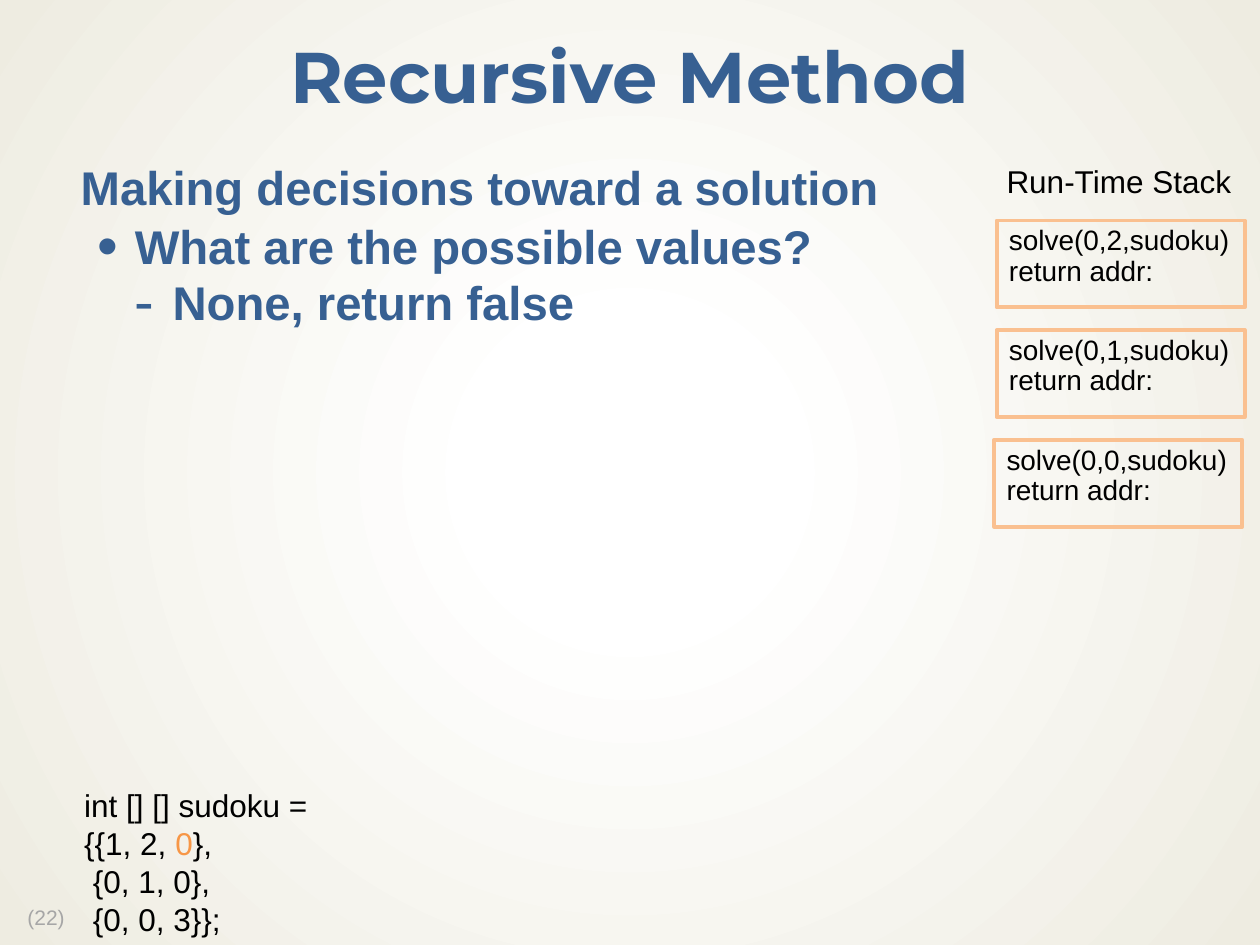
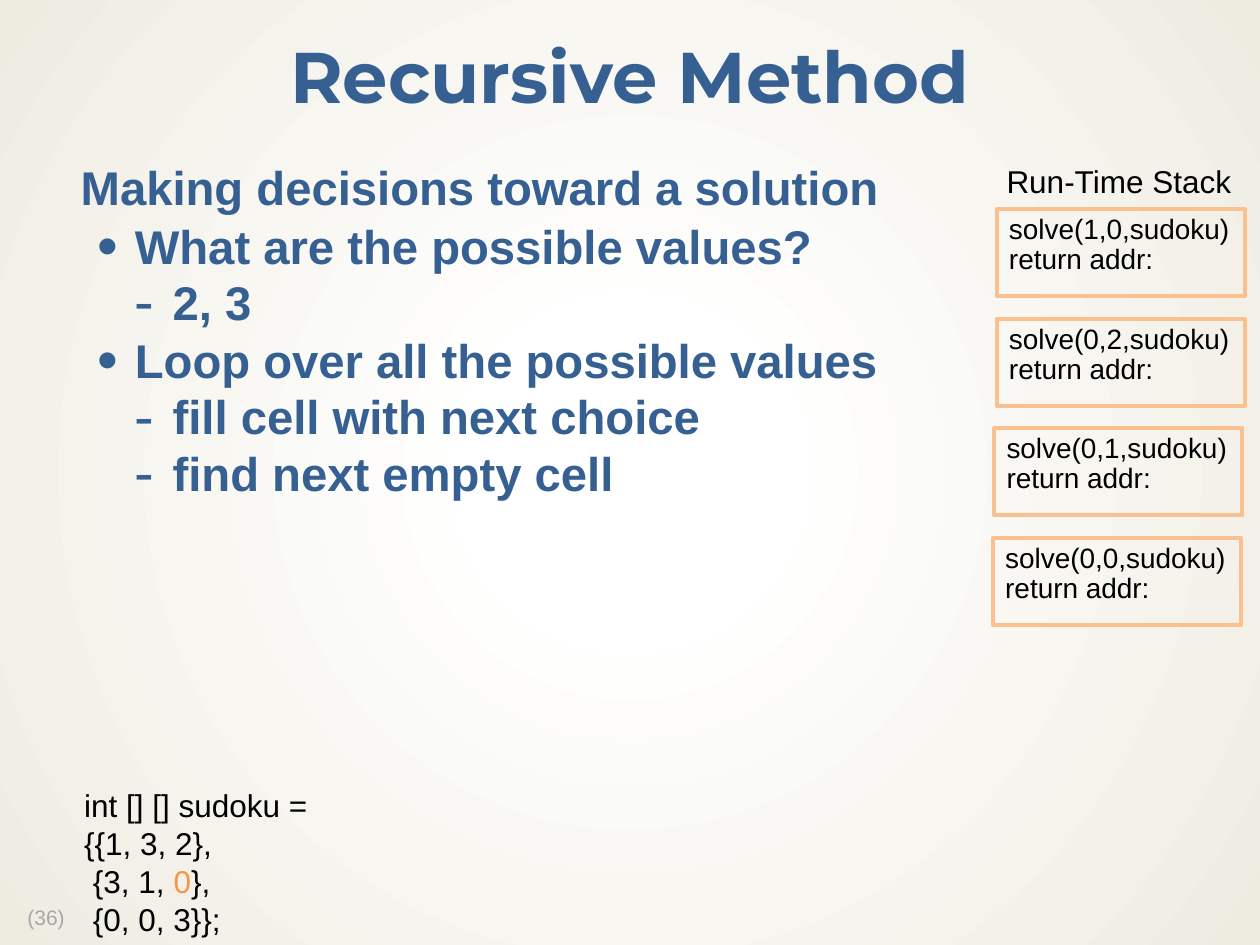
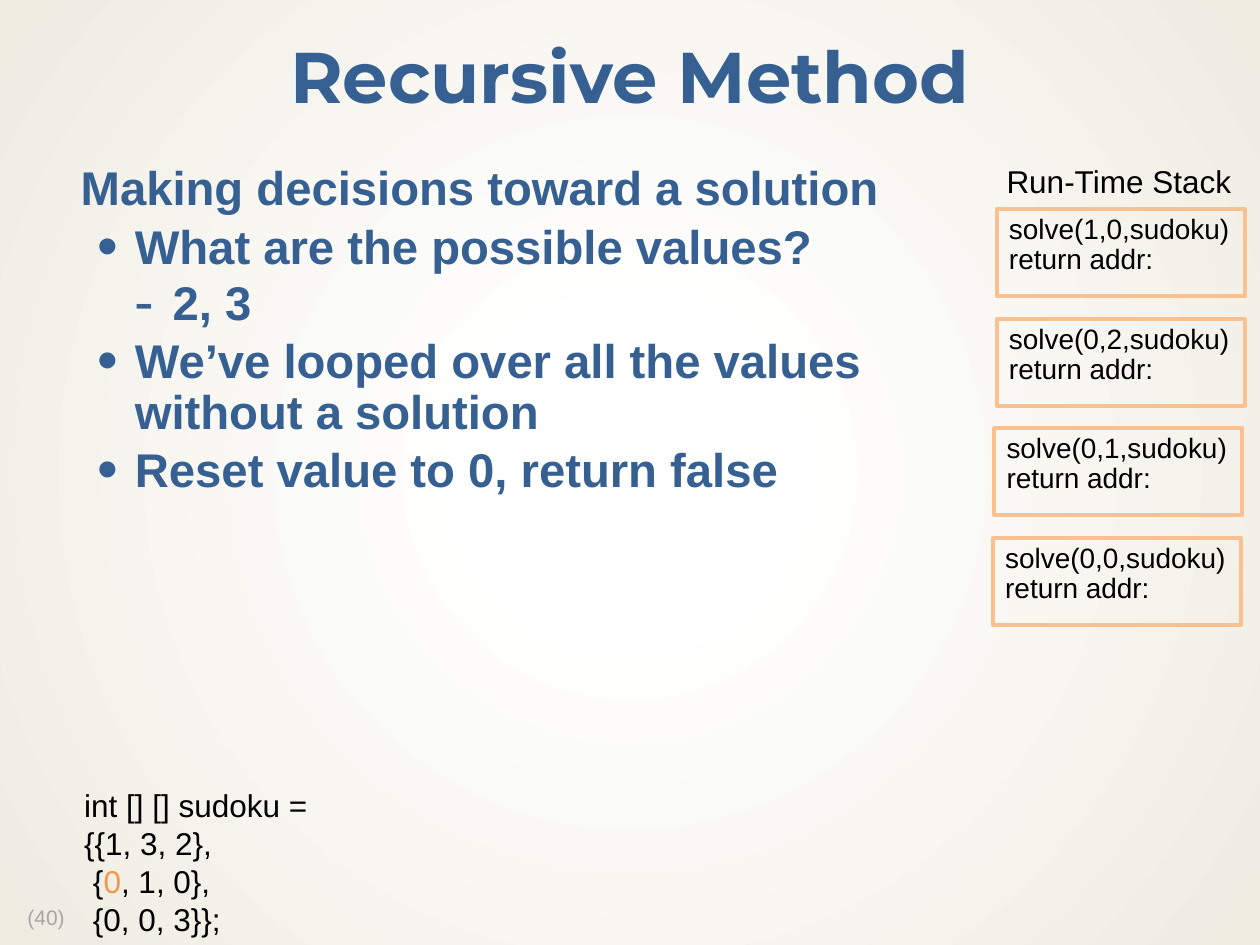
import pptx
import pptx.dml.color
import pptx.enum.shapes
import pptx.enum.text
import pptx.oxml
import pptx.oxml.ns
import pptx.util
from lxml import etree

Inches = pptx.util.Inches
Pt = pptx.util.Pt
Anchor = pptx.enum.text.MSO_ANCHOR
Align = pptx.enum.text.PP_ALIGN

BLUE, BLACK, GREY = "376092", "000000", "A6A6A6"
ORANGE, FRAME_LINE = "F79646", "FAC090"

TITLE_FONT = {"name": "Montserrat", "size": Pt(41), "bold": True, "color": BLUE}
BODY_FONT = {"name": "Arial", "size": Pt(27), "bold": True, "color": BLUE}
CODE_FONT = {"name": "Arial", "size": Pt(18), "color": BLACK}
MARK_FONT = {**CODE_FONT, "color": ORANGE}
FRAME_FONT = {"name": "Arial", "size": Pt(16), "color": BLACK}
NUMBER_FONT = {"name": "Arial", "size": Pt(12), "color": GREY}

TITLE_BOX = (0, 0.17, 10, 0.94)
BODY_BOX = (0.38, 1.25, 9.25, 5.65)
CODE_BOX = (0.57, 6.19, 1.99, 1.31)
STACK_LABEL_BOX = (7.89, 1.24, 2, 0.4)
NUMBER_BOX = (0.12, 7.15, 0.6, 0.28)

# Per list level: left margin, first-line indent, space before, bullet
LEVELS = [(0.14, 0, 8, None), (0.57, -0.3, 4, "•"), (0.87, -0.3, 3, "-")]

FRAME_SIZE = (1.97, 0.69)
FRAME_PITCH = 0.87
FRAME_LEFTS = (7.91, 7.91, 7.89, 7.88)

HEADING = (0, "Making decisions toward a solution")
QUESTION = (1, "What are the possible values?")
DEEP_STACK = ("1,0", "0,2", "0,1", "0,0")

# Asterisks enclose the cell being decided.
SLIDES = [
    {
        "number": 22,
        "points": [HEADING, QUESTION, (2, "None, return false")],
        "rows": ["{{1, 2, *0*},", " {0, 1, 0},", " {0, 0, 3}};"],
        "calls": DEEP_STACK[1:],
        "stack_top": 1.75,
    },
    {
        "number": 36,
        "points": [
            HEADING,
            QUESTION,
            (2, "2, 3"),
            (1, "Loop over all the possible values"),
            (2, "fill cell with next choice"),
            (2, "find next empty cell"),
        ],
        "rows": ["{{1, 3, 2},", " {3, 1, *0*},", " {0, 0, 3}};"],
        "calls": DEEP_STACK,
        "stack_top": 1.66,
    },
    {
        "number": 40,
        "points": [
            HEADING,
            QUESTION,
            (2, "2, 3"),
            (1, "We’ve looped over all the values\vwithout a solution"),
            (1, "Reset value to 0, return false"),
        ],
        "rows": ["{{1, 3, 2},", " {*0*, 1, 0},", " {0, 0, 3}};"],
        "calls": DEEP_STACK,
        "stack_top": 1.66,
    },
]


def set_color(color, value):
    color.rgb = pptx.dml.color.RGBColor.from_string(value)


def set_attributes(target, values):
    for name, value in values.items():
        setattr(target, name, value)


def format_font(font, values):
    set_attributes(font, {k: v for k, v in values.items() if k != "color"})
    set_color(font.color, values["color"])


def set_frame(frame, side=0.1, end=0.05, anchor=Anchor.TOP, wrap=True):
    set_attributes(frame, {
        "auto_size": pptx.enum.text.MSO_AUTO_SIZE.NONE,
        "word_wrap": wrap,
        "vertical_anchor": anchor,
        "margin_left": Inches(side),
        "margin_right": Inches(side),
        "margin_top": Inches(end),
        "margin_bottom": Inches(end),
    })


def place(shape, box):
    for name, value in zip(("left", "top", "width", "height"), box):
        setattr(shape, name, Inches(value))


def write_lines(frame, lines, font, spacing=1.0):
    """Write one paragraph a line, colouring the parts between asterisks."""
    for index, line in enumerate(lines):
        para = frame.paragraphs[0] if index == 0 else frame.add_paragraph()
        para.line_spacing = spacing
        para.alignment = Align.LEFT
        for position, part in enumerate(line.split("*")):
            span = para.add_run()
            span.text = part
            format_font(span.font, MARK_FONT if position % 2 else font)


def add_text(page, box, lines, font, wrap=False, spacing=1.0):
    shape = page.shapes.add_textbox(*map(Inches, box))
    set_frame(shape.text_frame, wrap=wrap)
    write_lines(shape.text_frame, lines, font, spacing)


def set_background(master):
    """Give all slides a radial gradient from white to cream."""
    master.background.fill.solid()
    solid = master.element.xpath("p:cSld/p:bg/p:bgPr/a:solidFill")[0]
    gradient = pptx.oxml.parse_xml(
        f'<a:gradFill {pptx.oxml.ns.nsdecls("a")} rotWithShape="1"><a:gsLst>'
        '<a:gs pos="18000"><a:srgbClr val="FFFFFF"><a:alpha val="53000"/></a:srgbClr></a:gs>'
        '<a:gs pos="100000"><a:srgbClr val="EEECE1"/></a:gs></a:gsLst>'
        '<a:path path="circle">'
        '<a:fillToRect l="50000" t="50000" r="50000" b="50000"/>'
        "</a:path></a:gradFill>"
    )
    solid.getparent().replace(solid, gradient)


def fill_title(page, text):
    title = page.shapes.title
    place(title, TITLE_BOX)
    set_frame(title.text_frame, 0.13, 0.06, Anchor.MIDDLE)
    title.text_frame.text = text
    para = title.text_frame.paragraphs[0]
    set_attributes(para, {"alignment": Align.CENTER, "line_spacing": 0.9})
    format_font(para.runs[0].font, TITLE_FONT)


def set_bullet(para, margin, indent, bullet):
    properties = para._p.get_or_add_pPr()
    properties.set("marL", str(Inches(margin)))
    properties.set("indent", str(Inches(indent)))
    qn = pptx.oxml.ns.qn
    if bullet is None:
        etree.SubElement(properties, qn("a:buNone"))
    else:
        etree.SubElement(properties, qn("a:buSzPct"), val="125000")
        etree.SubElement(properties, qn("a:buChar"), char=bullet)


def fill_body(page, points):
    body = page.placeholders[1]
    place(body, BODY_BOX)
    frame = body.text_frame
    set_frame(frame, 0.12, 0.06)
    for index, (level, text) in enumerate(points):
        margin, indent, before, bullet = LEVELS[level]
        para = frame.paragraphs[0] if index == 0 else frame.add_paragraph()
        para.text = text
        set_bullet(para, margin, indent, bullet)
        set_attributes(para, {
            "level": level,
            "line_spacing": 0.9,
            "space_before": Pt(before if index else 0),
        })
        for span in para.runs:
            format_font(span.font, BODY_FONT)


def add_stack(page, top, calls):
    """Draw the labelled call frames, latest call first."""
    add_text(page, STACK_LABEL_BOX, ["Run-Time Stack"], CODE_FONT)
    for index, (left, cell) in enumerate(zip(FRAME_LEFTS, calls)):
        box = (left, top + index * FRAME_PITCH, *FRAME_SIZE)
        shape = page.shapes.add_shape(
            pptx.enum.shapes.MSO_SHAPE.RECTANGLE, *map(Inches, box))
        shape.shadow.inherit = False
        shape.fill.background()
        set_color(shape.line.color, FRAME_LINE)
        shape.line.width = Pt(2.25)
        set_frame(shape.text_frame)
        lines = [f"solve({cell},sudoku)", "return addr:"]
        write_lines(shape.text_frame, lines, FRAME_FONT, 0.9)


def add_slide(deck, content):
    page = deck.slides.add_slide(deck.slide_layouts[1])
    fill_title(page, "Recursive Method")
    fill_body(page, content["points"])
    add_text(page, CODE_BOX, ["int [] [] sudoku =", *content["rows"]], CODE_FONT)
    add_stack(page, content["stack_top"], content["calls"])
    add_text(page, NUMBER_BOX, [f"({content['number']})"], NUMBER_FONT, True, 0.9)


def main():
    deck = pptx.Presentation()
    deck.slide_width, deck.slide_height = Inches(10), Inches(7.5)
    set_background(deck.slide_master)
    for content in SLIDES:
        add_slide(deck, content)
    deck.save("out.pptx")


if __name__ == "__main__":
    main()
